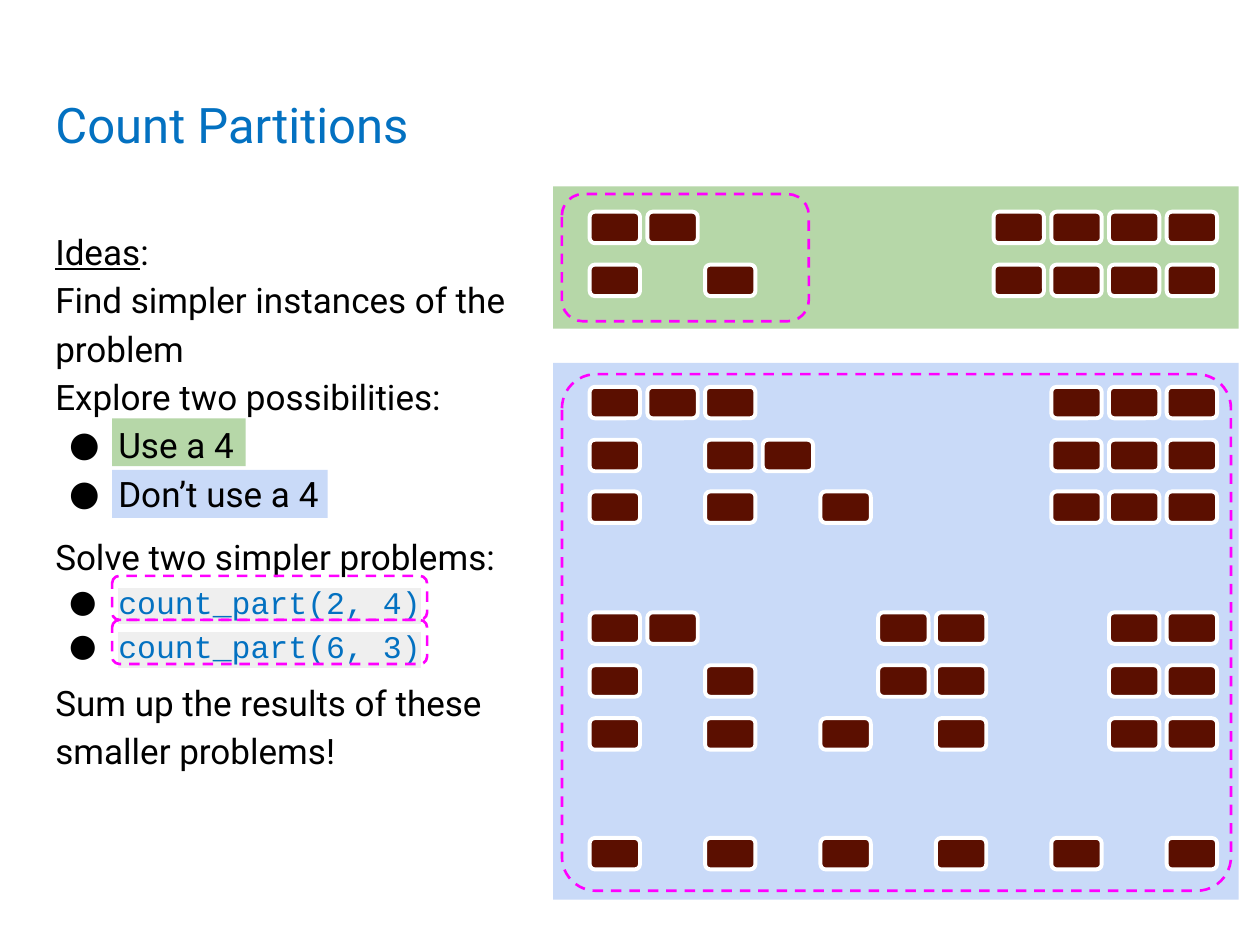
from lxml.etree import SubElement as Sub, Element as Elem
from pptx import Presentation
from pptx.dml.color import RGBColor
from pptx.enum.dml import MSO_LINE as Dash
from pptx.enum.shapes import MSO_SHAPE as Kind
from pptx.enum.text import MSO_ANCHOR as Anchor, MSO_AUTO_SIZE as Auto, PP_ALIGN as Align
from pptx.oxml.ns import qn
from pptx.util import Pt

PX = 9144  # 100 px to the inch
SANS, MONO = "Roboto", "Courier New"
HUES = {
    "blue": "0371C1", "black": "000000", "white": "FFFFFF", "brown": "5B0F00",
    "green": "B6D7A8", "sky": "C9DAF8", "pink": "FF00FF", "grey": "EFEFEF",
}
# Slots filled in each row of a panel, by the row's offset from the panel's top
USE = {20: (0, 1, 7, 8, 9, 10), 62: (0, 2, 7, 8, 9, 10)}
SKIP = {
    19: (0, 1, 2, 8, 9, 10), 61: (0, 2, 3, 8, 9, 10), 102: (0, 2, 4, 8, 9, 10),
    198: (0, 1, 5, 6, 9, 10), 240: (0, 2, 5, 6, 9, 10), 282: (0, 2, 4, 6, 9, 10),
    377: (0, 2, 4, 6, 8, 10),
}


def hue(name):
    return RGBColor.from_string(HUES[name])


def emu(box):
    return [round(v * PX) for v in box]


def block(shapes, box, fill=None, line=None, width=1, dash=None, round_by=None):
    kind = Kind.RECTANGLE if round_by is None else Kind.ROUNDED_RECTANGLE
    shape = shapes.add_shape(kind, *emu(box))
    shape.shadow.inherit = False
    if round_by is not None:
        shape.adjustments[0] = round_by
    if fill:
        shape.fill.solid()
        shape.fill.fore_color.rgb = hue(fill)
    else:
        shape.fill.background()
    if line:
        shape.line.color.rgb = hue(line)
        shape.line.width = Pt(width)
        shape.line.dash_style = dash
    else:
        shape.line.fill.background()
    return shape


def write(para, text, size=20, font=SANS, color="black", under=False, mark=None):
    run = para.add_run()
    run.text = text
    run.font.size = Pt(size)
    run.font.color.rgb = hue(color)
    run.font.name = font
    if under:
        run.font.underline = True
    if mark:
        light = Elem(qn("a:highlight"))
        Sub(light, qn("a:srgbClr"), val=HUES[mark])
        run.font._element.find(qn("a:latin")).addprevious(light)


def bullet(para):
    props = para._p.get_or_add_pPr()
    props.set("marL", str(50 * PX))
    props.set("indent", str(-39 * PX))
    Sub(Sub(props, qn("a:buClr")), qn("a:srgbClr"), val=HUES["black"])
    Sub(props, qn("a:buFont"), typeface=SANS)
    Sub(props, qn("a:buChar"), char="●")


def setup(frame):
    frame.word_wrap = True
    frame.auto_size = Auto.NONE
    frame.vertical_anchor = Anchor.TOP
    frame.margin_left = frame.margin_right = 10 * PX
    frame.margin_top = frame.margin_bottom = 10 * PX


def title(slide, box):
    head = slide.shapes.title
    head.left, head.top, head.width, head.height = emu(box)
    setup(head.text_frame)
    para = head.text_frame.paragraphs[0]
    para.alignment = Align.LEFT
    write(para, "Count Partitions", size=28, color="blue")


def notes(slide, box, lines):
    """Each line is (is bulleted, [(text, format), ...])."""
    frame = slide.shapes.add_textbox(*emu(box)).text_frame
    setup(frame)
    for i, (dot, runs) in enumerate(lines):
        para = frame.add_paragraph() if i else frame.paragraphs[0]
        para.line_spacing = 1.15
        if dot:
            bullet(para)
        for text, form in runs:
            write(para, text, **form)


def panel(slide, box, fill, rows):
    left, top, wide, high = box
    block(slide.shapes, box, fill=fill)
    pitch = (wide - 86) / 10
    for y, slots in rows.items():
        row = slide.shapes.add_group_shape().shapes
        for slot in slots:
            block(row, (left + 29 + slot * pitch, top + y, 40, 25), fill="brown",
                  line="white", width=2.25, round_by=0.167)


def ring(slide, box, round_by=0.167):
    block(slide.shapes, box, line="pink", width=1.5, dash=Dash.DASH, round_by=round_by)


def main():
    deck = Presentation()
    deck.slide_width, deck.slide_height = emu((1000, 750))
    slide = deck.slides.add_slide(deck.slide_layouts[5])
    title(slide, (34, 65, 932, 83))

    # Partitions, and the labels in the same colours
    panel(slide, (439, 148, 544, 113), "green", USE)
    panel(slide, (439, 288, 544, 426), "sky", SKIP)
    block(slide.shapes, (89, 332, 106, 38), fill="green")
    block(slide.shapes, (89, 373, 171, 38), fill="sky")

    # Text column
    code = dict(size=18, font=MONO, color="blue", mark="grey")
    notes(slide, (34, 168, 405, 257), [
        (False, [("Ideas", dict(under=True)), (":", {})]),
        (False, [("Find simpler instances of the problem", {})]),
        (False, [("Explore two possibilities:", {})]),
        (True, [("Use a 4", {})]),
        (True, [("Don’t use a 4", {})]),
    ])
    notes(slide, (34, 410, 405, 134), [
        (False, [("Solve two simpler problems:", {})]),
        (True, [("count_part(2, 4)", code)]),
        (True, [("count_part(6, 3)", code)]),
    ])
    notes(slide, (34, 526, 405, 93), [
        (False, [("Sum up the results of these smaller problems!", {})]),
    ])

    # Dashed rings tie each call to its partitions
    ring(slide, (446, 154, 196, 101))
    ring(slide, (89, 457, 250, 35))
    ring(slide, (446, 297, 531, 410), round_by=0.066)
    ring(slide, (89, 492, 250, 35))

    deck.save("out.pptx")


if __name__ == "__main__":
    main()
